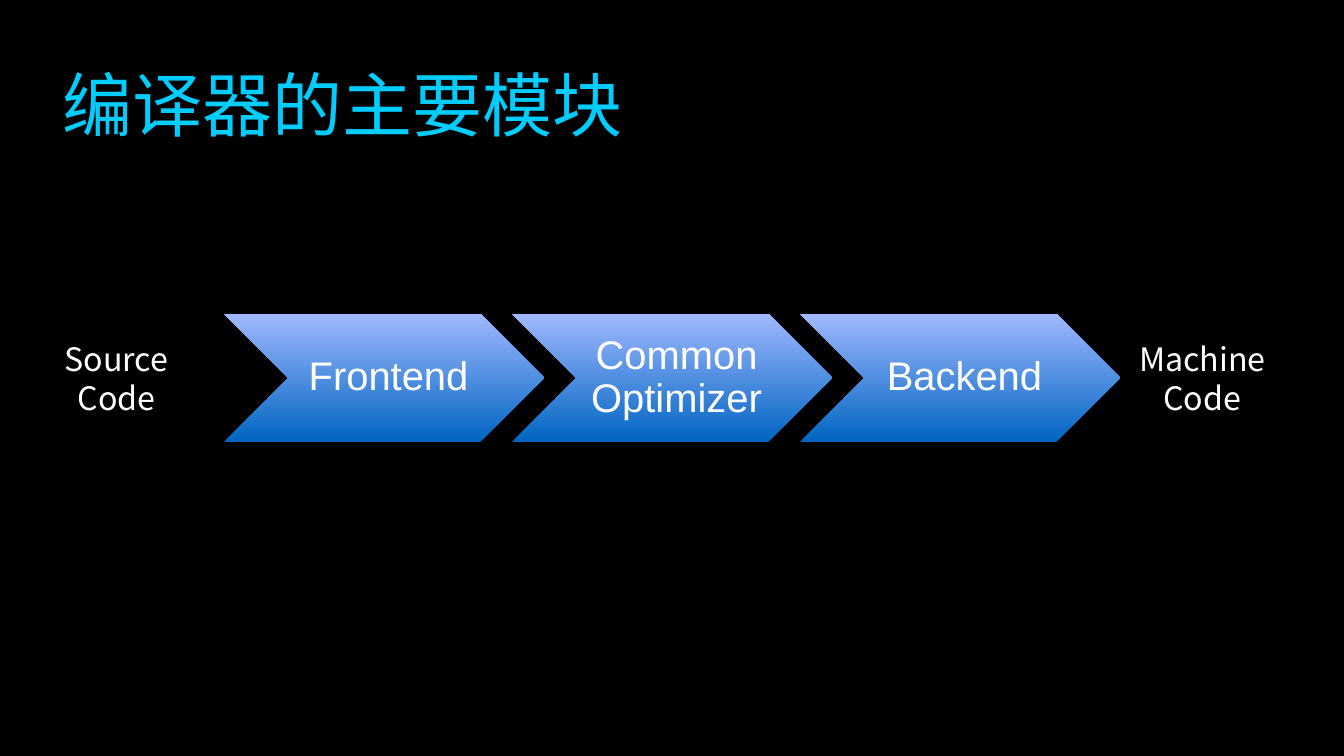
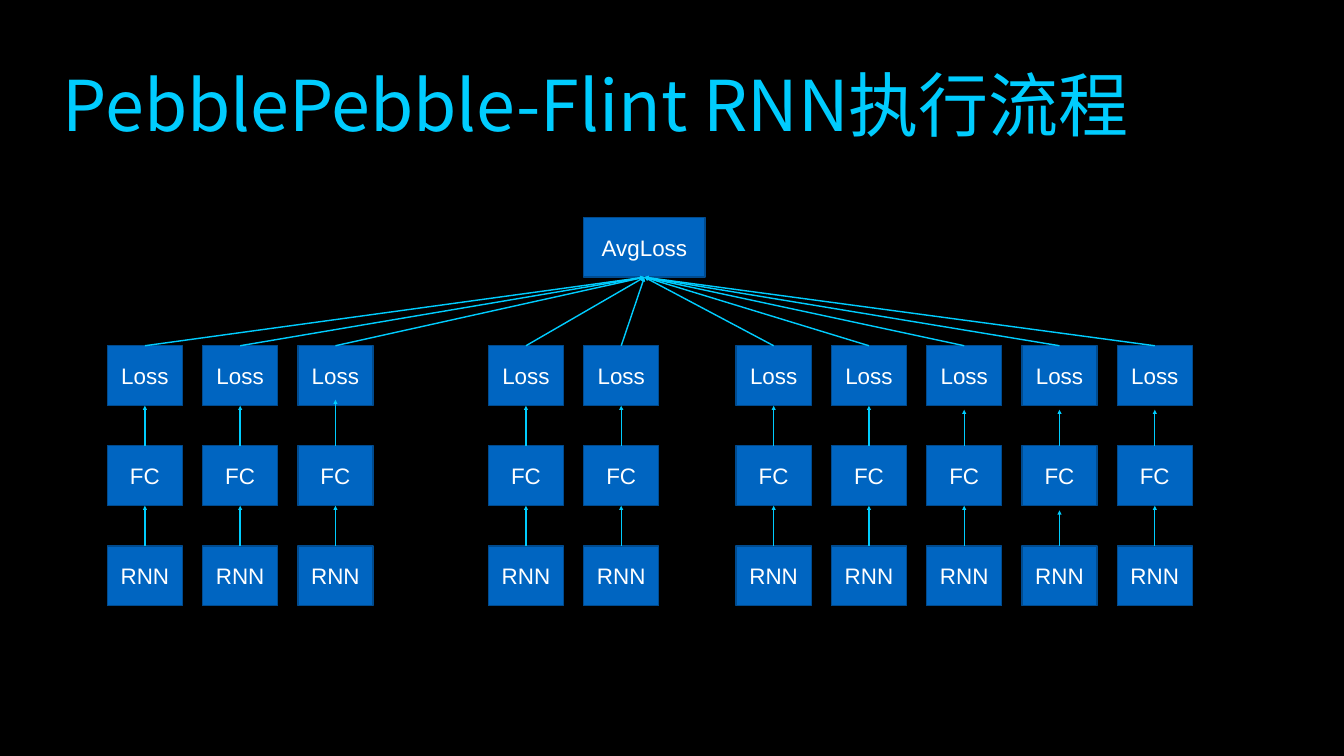
from lxml import etree
from pptx import Presentation
from pptx import util as u
from pptx.dml.color import RGBColor
from pptx.enum import shapes, text
from pptx.oxml import ns

WIDE, HIGH = 26.67, 15
HUES = {"back": "000000", "cyan": "00CCFE", "white": "FFFFFF",
        "blue": "0065C1", "pale": "A0B8FF", "edge": "004B8F"}
SANS, HAN = "Arial", "Noto Sans CJK SC"
PAD = (0.08, 0.08, 0.08, 0.08)
STEPS = ["Frontend", "Common Optimizer", "Backend"]
ROWS = ["Loss", "FC", "RNN"]
COLS = [0, 1, 2, 4, 5, 6.6, 7.6, 8.6, 9.6, 10.6]
CELL = (1.49, 1.19)
NUDGE = {(1, 2): -0.12, (1, 7): 0.08, (1, 8): 0.08, (1, 9): 0.08, (2, 8): 0.09}


def hue(name):
    """Return the named colour."""
    return RGBColor.from_string(HUES[name])


def share(box, x, y, wide, high):
    """Return the part of a box given by shares of its size."""
    left, top, w, h = box
    return left + x * w, top + y * h, wide * w, high * h


def inch(box):
    """Turn a box in inches into lengths."""
    return [u.Inches(n) for n in box]


def write(shape, lines, size, font, tint="white", align="CENTER", pad=None, space=None):
    """Fill a shape with one paragraph per line, centred vertically."""
    frame = shape.text_frame
    frame.vertical_anchor = text.MSO_ANCHOR.MIDDLE
    if pad:
        (frame.margin_left, frame.margin_top,
         frame.margin_right, frame.margin_bottom) = inch(pad)
    for i, line in enumerate(lines):
        para = frame.add_paragraph() if i else frame.paragraphs[0]
        para.alignment = getattr(text.PP_ALIGN, align)
        para.line_spacing = space
        run = para.add_run()
        run.text = line
        run.font.size = u.Pt(size)
        run.font.name = font
        run.font.color.rgb = hue(tint)
        etree.SubElement(run.font._element, ns.qn("a:ea"), typeface=font)


def label(parts, box, lines, size, font, wrap=True, **style):
    """Add a text box."""
    shape = parts.add_textbox(*inch(box))
    shape.text_frame.word_wrap = wrap
    write(shape, lines, size, font, **style)


def arrow(slide, start, end):
    """Draw a thin arrow between two points."""
    line = slide.shapes.add_connector(shapes.MSO_CONNECTOR.STRAIGHT, *inch(start + end))
    line.line.color.rgb = hue("cyan")
    line.line.width = u.Pt(2)
    etree.SubElement(line.line._get_or_add_ln(), ns.qn("a:tailEnd"), type="triangle")
    etree.SubElement(line._element.spPr, ns.qn("a:effectLst"))


def node(slide, box, name):
    """Draw one named block of the graph."""
    shape = slide.shapes.add_shape(shapes.MSO_SHAPE.RECTANGLE, *inch(box))
    shape.shadow.inherit = False
    shape.fill.solid()
    shape.fill.fore_color.rgb = hue("blue")
    shape.line.color.rgb = hue("edge")
    shape.line.width = u.Pt(2)
    write(shape, [name], 32, SANS)


def page(deck, title):
    """Add a blank slide with its title."""
    slide = deck.slides.add_slide(deck.slide_layouts[6])
    label(slide.shapes, (1.17, 0.39, 24.33, 3.32), [title], 100, HAN,
          tint="cyan", align="LEFT", pad=PAD)
    return slide


def chain(slide, box):
    """Draw the steps as chevrons that overlap by a tenth."""
    wide = 1 / (1 + 0.9 * (len(STEPS) - 1))
    group = slide.shapes.add_group_shape().shapes
    for i, name in enumerate(STEPS):
        cell = share(box, 0.9 * wide * i, 0, wide, 1)
        shape = group.add_shape(shapes.MSO_SHAPE.CHEVRON, *inch(cell))
        shape.shadow.inherit = False
        shape.line.fill.background()
        shape.fill.gradient()
        shape.fill.gradient_angle = 90
        for stop, tint in zip(shape.fill.gradient_stops, ("blue", "pale")):
            stop.color.rgb = hue(tint)
        label(group, share(cell, 0.2, 0, 0.6, 1), [name], 57, SANS,
              pad=(0.25,) + PAD[1:], space=0.9)


def graph(slide, box):
    """Draw the grid of blocks, the arrows between rows and the sum above."""
    left, top, w, h = box
    wide, high = CELL
    dx = (w - wide) / COLS[-1]
    dy = (h - high) / (len(ROWS) - 1)
    peak = (left + 5 * dx, top - 2.55, 2.41, high)
    goal = (peak[0] + peak[2] / 2, peak[1] + high)
    node(slide, peak, "AvgLoss")
    for r, name in enumerate(ROWS):
        for col in COLS:
            node(slide, (left + col * dx, top + r * dy, wide, high), name)
    for r in range(len(ROWS)):
        for c, col in enumerate(COLS):
            x, y = left + col * dx + wide / 2, top + r * dy
            end = (x, y - dy + high + NUDGE.get((r, c), 0)) if r else goal
            arrow(slide, (x, y), end)


def main():
    """Build both slides and save them."""
    deck = Presentation()
    deck.slide_width, deck.slide_height = u.Inches(WIDE), u.Inches(HIGH)
    back = deck.slide_master.background.fill
    back.solid()
    back.fore_color.rgb = hue("back")

    slide = page(deck, "编译器的主要模块")
    chain(slide, (4.45, 6.23, 17.78, 2.54))
    for x, wide, word in ((1.17, 2.28, "Source"), (22.46, 2.8, "Machine")):
        label(slide.shapes, (x, 6.65, wide, 1.71), [word, "Code"], 46, HAN,
              wrap=False, pad=PAD)

    slide = page(deck, "PebblePebble-Flint RNN执行流程")
    graph(slide, (2.13, 6.86, 21.53, 5.16))
    deck.save("out.pptx")


if __name__ == "__main__":
    main()
